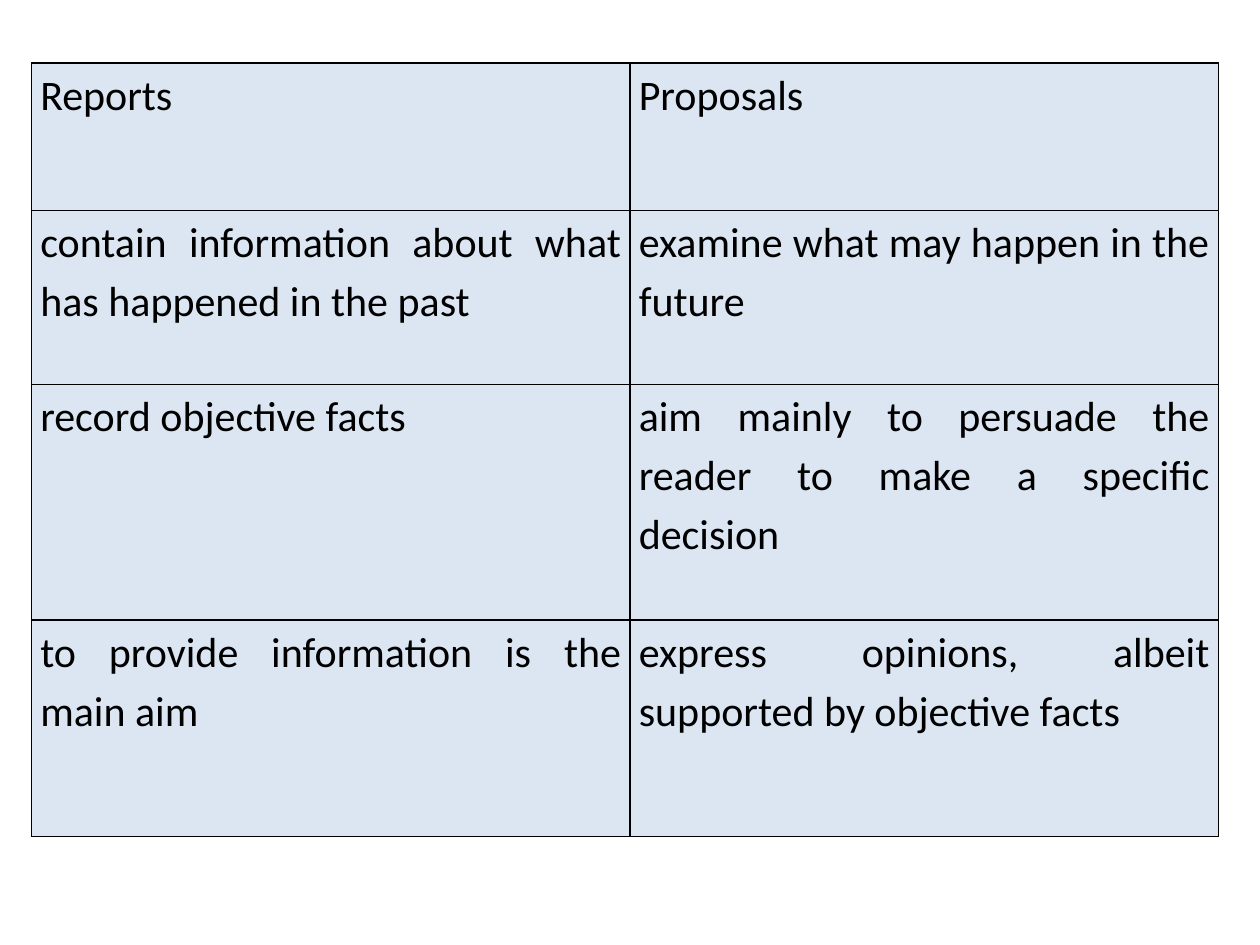
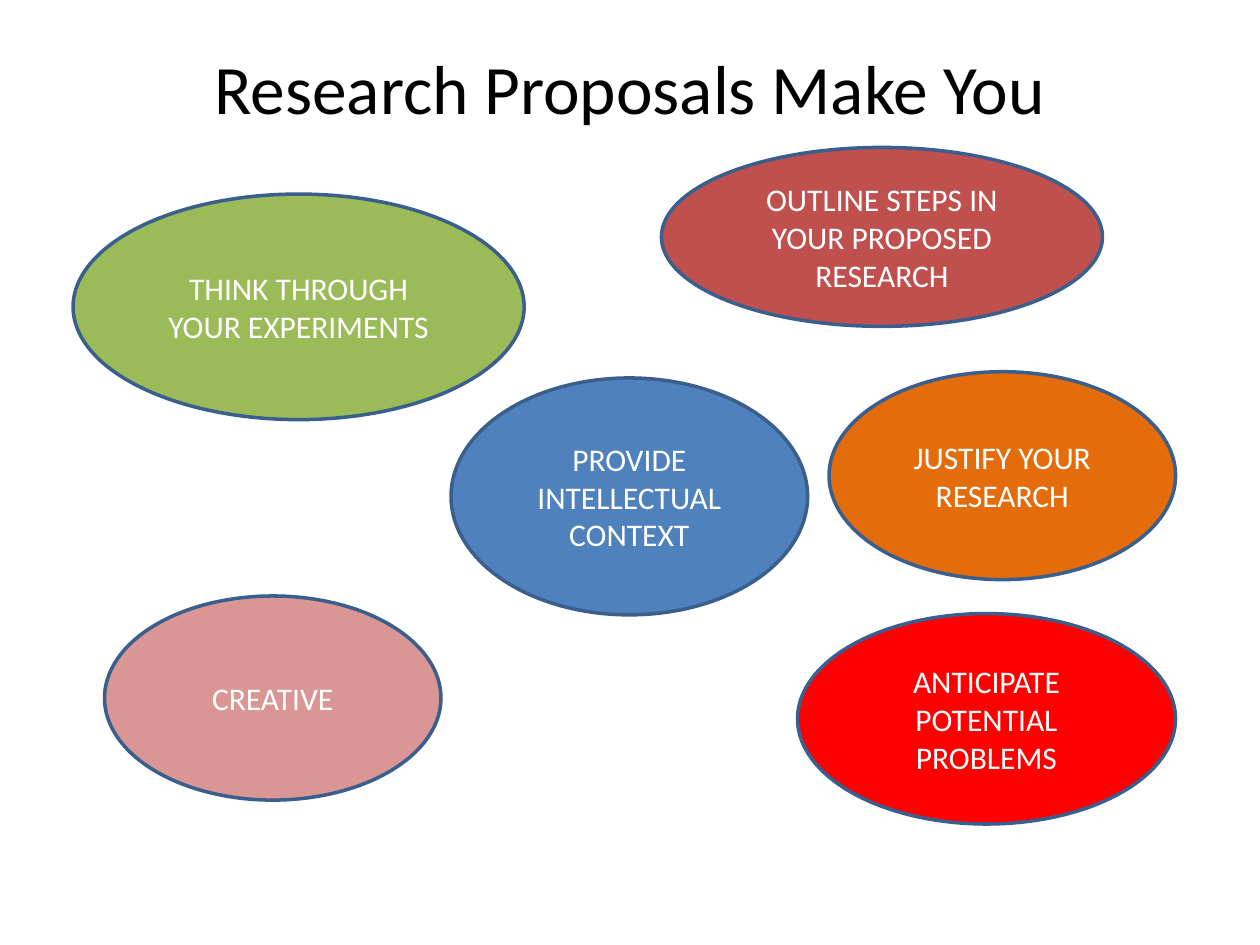
import pptx
import pptx.util
import pptx.dml.color
import pptx.enum.shapes
import pptx.enum.text
import pptx.oxml

Inches, Pt = pptx.util.Inches, pptx.util.Pt
RGBColor = pptx.dml.color.RGBColor
PP_ALIGN = pptx.enum.text.PP_ALIGN
MIDDLE = pptx.enum.text.MSO_ANCHOR.MIDDLE

BLACK = RGBColor(0x00, 0x00, 0x00)
WHITE = RGBColor(0xFF, 0xFF, 0xFF)
PALE_BLUE = RGBColor(0xDC, 0xE6, 0xF2)
OUTLINE = RGBColor(0x3A, 0x5F, 0x8C)
GREEN = RGBColor(0x9B, 0xBB, 0x59)
BRICK = RGBColor(0xC0, 0x50, 0x4D)
PINK = RGBColor(0xD9, 0x96, 0x94)
RED = RGBColor(0xFF, 0x00, 0x00)
ORANGE = RGBColor(0xE4, 0x6C, 0x0A)
BLUE = RGBColor(0x4F, 0x81, 0xBD)

COMPARISON = [
    ("Reports", "Proposals"),
    ("contain information about what has happened in the past",
     "examine what may happen in the future"),
    ("record objective facts",
     "aim mainly to persuade the reader to make a specific decision"),
    ("to provide information is the main aim",
     "express opinions, albeit supported by objective facts"),
]
TABLE_LEFT, TABLE_TOP = 0.25, 0.5
COL_WIDTHS = [4.75, 4.67]
ROW_HEIGHTS = [1.17, 1.38, 1.87, 1.72]

TITLE = "Research Proposals Make You"
TITLE_BOX = (0.5, 0.3, 9, 0.78)
BENEFITS = [
    ("THINK THROUGH YOUR EXPERIMENTS", GREEN, (0.58, 1.54, 3.58, 1.79)),
    ("OUTLINE STEPS IN YOUR PROPOSED RESEARCH", BRICK, (5.25, 1.17, 3.5, 1.42)),
    ("CREATIVE", PINK, (0.83, 4.73, 2.67, 1.62)),
    ("ANTICIPATE POTENTIAL PROBLEMS", RED, (6.33, 4.87, 3, 1.67)),
    ("JUSTIFY YOUR RESEARCH", ORANGE, (6.58, 2.95, 2.75, 1.65)),
    ("PROVIDE INTELLECTUAL CONTEXT", BLUE, (3.58, 3, 2.83, 1.88)),
]

CELL_FORMAT = {"margin_left": Inches(0.07), "margin_right": Inches(0.07),
               "margin_top": 0, "margin_bottom": 0}
CELL_PARAGRAPH = {"alignment": PP_ALIGN.JUSTIFY, "line_spacing": 1.15}
CENTRED = {"alignment": PP_ALIGN.CENTER}
FRAME_FORMAT = {"word_wrap": True, "vertical_anchor": MIDDLE}
BORDER = (
    '<a:{side} xmlns:a="http://schemas.openxmlformats.org/drawingml/2006/main" w="12700">'
    '<a:solidFill><a:srgbClr val="{color}"/></a:solidFill></a:{side}>'
)


def apply(target, values):
    for name, value in values.items():
        setattr(target, name, value)


def write(tf, text, size, color, paragraph_format):
    p = tf.paragraphs[0]
    apply(p, paragraph_format)
    r = p.add_run()
    r.text = text
    apply(r.font, {"name": "Calibri", "size": Pt(size)})
    r.font.color.rgb = color


def fill_cell(cell, text):
    apply(cell, CELL_FORMAT)
    write(cell.text_frame, text, 24, BLACK, CELL_PARAGRAPH)
    tc_pr = cell._tc.get_or_add_tcPr()
    for side in ("lnL", "lnR", "lnT", "lnB"):
        tc_pr.append(pptx.oxml.parse_xml(BORDER.format(side=side, color=BLACK)))
    cell.fill.solid()
    cell.fill.fore_color.rgb = PALE_BLUE


def add_comparison(s):
    box = (TABLE_LEFT, TABLE_TOP, sum(COL_WIDTHS), sum(ROW_HEIGHTS))
    table = s.shapes.add_table(len(ROW_HEIGHTS), len(COL_WIDTHS),
                               *map(Inches, box)).table
    for column, width in zip(table.columns, COL_WIDTHS):
        column.width = Inches(width)
    for row, height, texts in zip(table.rows, ROW_HEIGHTS, COMPARISON):
        row.height = Inches(height)
        for cell, text in zip(row.cells, texts):
            fill_cell(cell, text)


def add_title(s):
    tf = s.shapes.add_textbox(*map(Inches, TITLE_BOX)).text_frame
    apply(tf, FRAME_FORMAT)
    write(tf, TITLE, 39.6, BLACK, CENTRED)


def add_benefit(s, text, color, box):
    sp = s.shapes.add_shape(pptx.enum.shapes.MSO_SHAPE.OVAL, *map(Inches, box))
    sp.shadow.inherit = False
    sp.fill.solid()
    sp.fill.fore_color.rgb = color
    sp.line.color.rgb = OUTLINE
    sp.line.width = Pt(2)
    apply(sp.text_frame, FRAME_FORMAT)
    write(sp.text_frame, text, 18, WHITE, CENTRED)


def main():
    prs = pptx.Presentation()
    apply(prs, {"slide_width": Inches(10), "slide_height": Inches(7.5)})
    blank = prs.slide_layouts[6]
    add_comparison(prs.slides.add_slide(blank))
    s = prs.slides.add_slide(blank)
    add_title(s)
    for benefit in BENEFITS:
        add_benefit(s, *benefit)
    prs.save("out.pptx")


if __name__ == "__main__":
    main()
